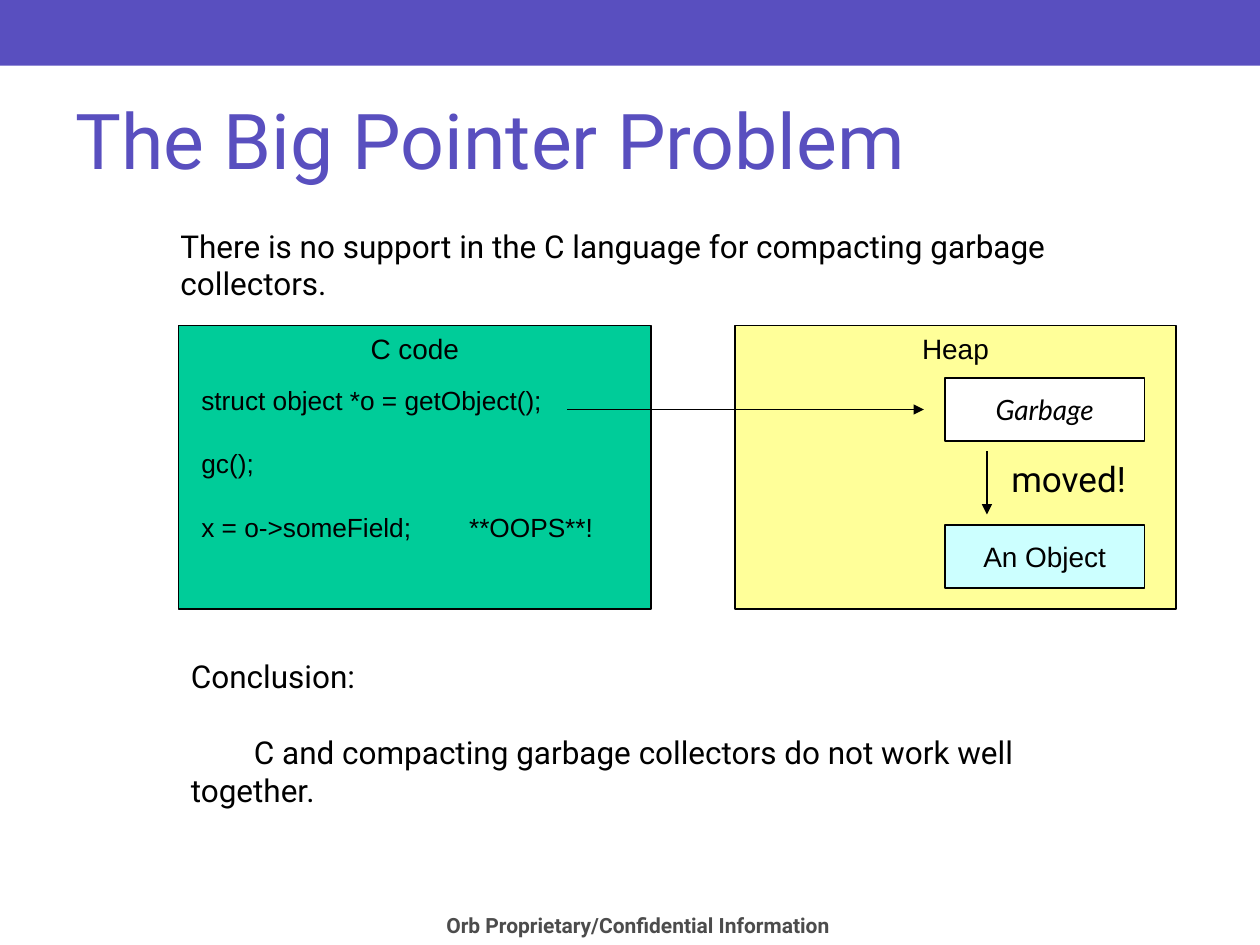
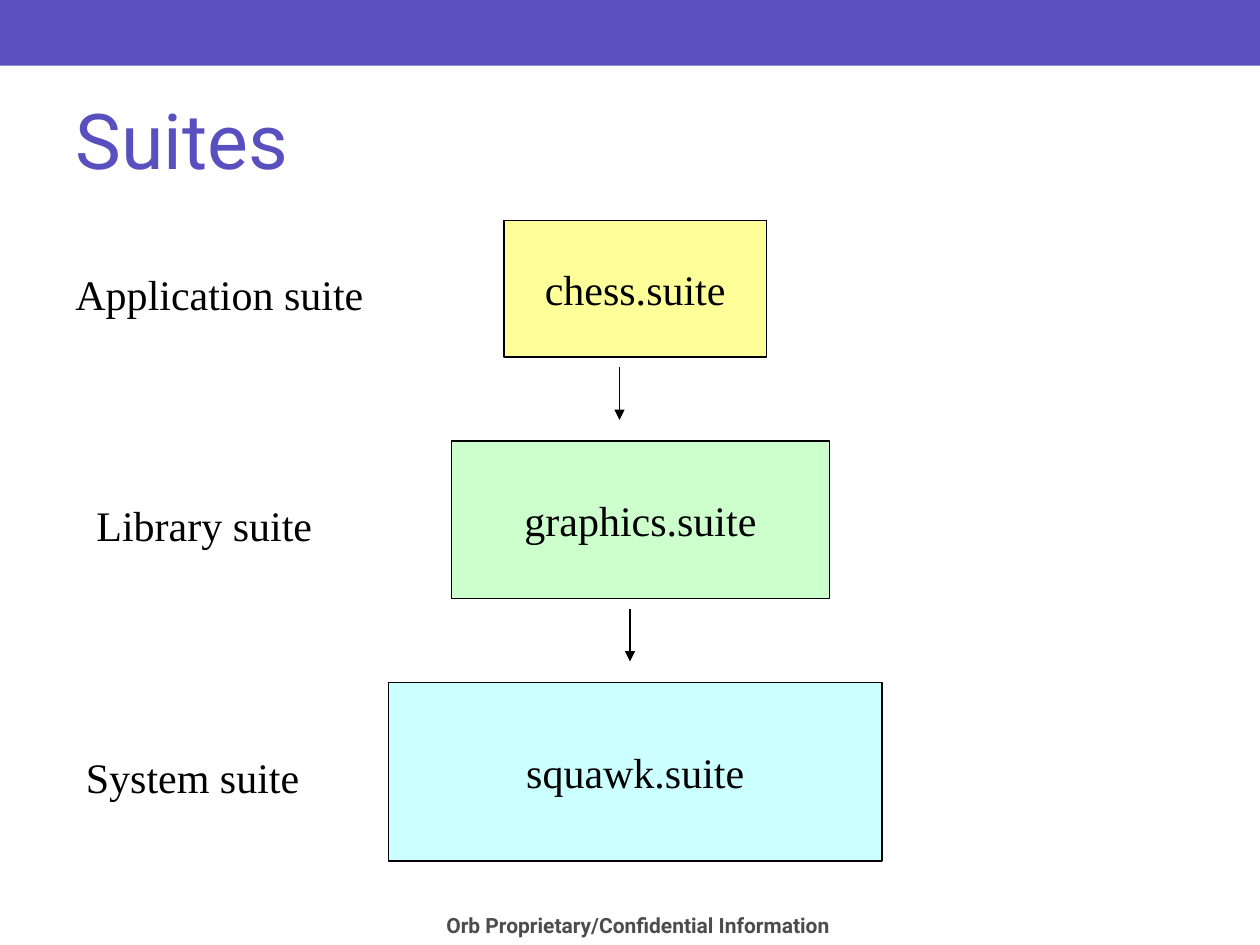
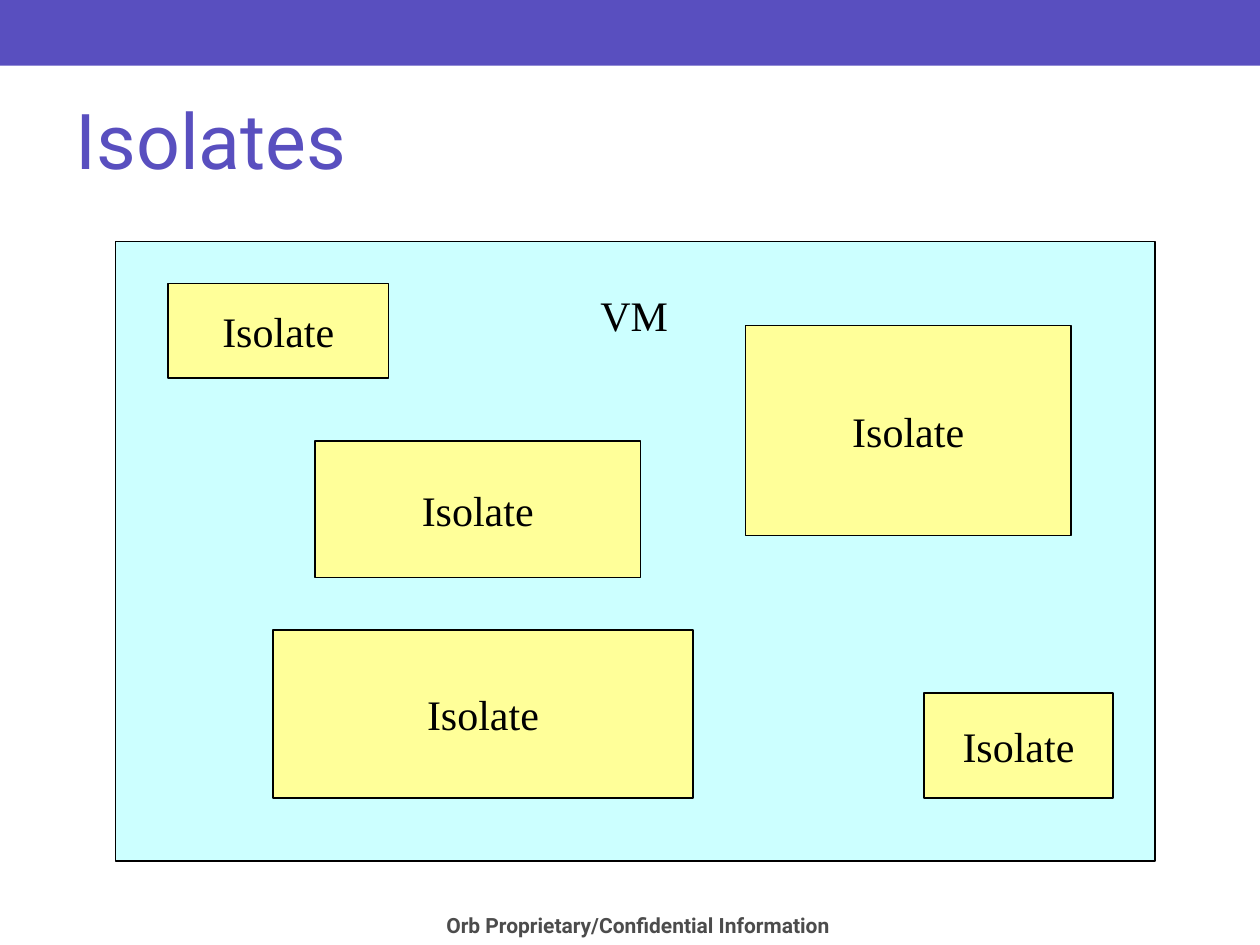
from pptx import Presentation
from pptx.dml.color import RGBColor
from pptx.enum import shapes as kinds, text as t
from pptx.oxml.ns import qn
from pptx.util import Pt
from lxml import etree

# Shared look
VIOLET = RGBColor(0x59, 0x4F, 0xBF)
GREY = RGBColor(0x4C, 0x4C, 0x4C)
BLACK = RGBColor(0, 0, 0)
WHITE = RGBColor(255, 255, 255)
GREEN = RGBColor(0x00, 0xCC, 0x99)
MINT = RGBColor(0xCC, 0xFF, 0xCC)
YELLOW = RGBColor(0xFF, 0xFF, 0x99)
CYAN = RGBColor(0xCC, 0xFF, 0xFF)
SANS, ARIAL, LATO, SERIF = "Roboto", "Arial", "Lato", "Times New Roman"
FOOTER = "Orb Proprietary/Confidential Information"

# Content: places are (left, top, width, height) in points
BAND_PLACE = (0, 0, 720, 37.5)
FOOTER_PLACE = (237.6, 522.7, 254, 13.7)
TITLE_PLACE = (43.2, 63.6, 615, 41)

POINTER_TITLE = "The Big Pointer Problem"
CLAIM = "There is no support in the C language for compacting garbage collectors."
CODE = ["struct object *o = getObject();", "gc();", "x = o->someField;\t**OOPS**!"]
OOPS_TAB = 153
CONCLUSION = ["Conclusion:",
              "C and compacting garbage collectors do not work well together."]
REGIONS = [("C code", (102, 186, 270, 162), GREEN),
           ("Heap", (420, 186, 252, 162), YELLOW)]
HEAP_CELLS = [("Garbage", 216, WHITE, LATO, True),
              ("An Object", 300, CYAN, ARIAL, False)]
POINTER_ARROWS = [((564, 258), (564, 294)), ((324, 234), (528, 234))]

SUITES_TITLE = "Suites"
SUITES = [  # file, place, fill, label, label place
    ("chess.suite", (288, 126, 150, 78), YELLOW,
     "Application suite", (36, 150, 182, 36)),
    ("graphics.suite", (258, 252, 216, 90), MINT,
     "Library suite", (48, 282, 140, 36)),
    ("squawk.suite", (222, 390, 282, 102), CYAN,
     "System suite", (42, 426, 140, 36)),
]
SUITE_ARROW_X = [354, 360]
ARROW_START_GAP, ARROW_END_GAP = 6, 12

ISOLATES_TITLE = "Isolates"
VM = (66, 138, 594, 354)
ISOLATES = [(96, 162, 126, 54), (180, 252, 186, 78), (156, 360, 240, 96),
            (426, 186, 186, 120), (528, 396, 108, 60)]


def write(frame, lines, font, size, color=BLACK, align=None, gap=0,
          bold=False, italic=False):
    """Fill a text frame, with a gap above each paragraph but the first."""
    for i, line in enumerate(lines):
        paragraph = frame.paragraphs[0] if i == 0 else frame.add_paragraph()
        paragraph.text = line
        paragraph.alignment = align
        if i and gap:
            paragraph.space_before = Pt(gap)
        style = paragraph.font
        style.name, style.size, style.color.rgb = font, Pt(size), color
        style.bold, style.italic = bold, italic


def add_text(slide, place, lines, font, size, wrap=True, gap=0):
    frame = slide.shapes.add_textbox(*map(Pt, place)).text_frame
    frame.word_wrap = wrap
    write(frame, lines, font, size, gap=gap)
    return frame


def add_panel(slide, kind, place, fill=None, line=None):
    panel = slide.shapes.add_shape(kind, *map(Pt, place))
    panel.shadow.inherit = False
    if fill is None:
        panel.fill.background()
    else:
        panel.fill.solid()
        panel.fill.fore_color.rgb = fill
    if line is None:
        panel.line.fill.background()
    else:
        panel.line.color.rgb = line
        panel.line.width = Pt(0.75)
    return panel


def add_box(slide, place, fill, label=None, font=SERIF, size=24,
            anchor=t.MSO_ANCHOR.MIDDLE, italic=False):
    box = add_panel(slide, kinds.MSO_SHAPE.RECTANGLE, place, fill, BLACK)
    if label:
        box.text_frame.word_wrap = False
        box.text_frame.vertical_anchor = anchor
        write(box.text_frame, [label], font, size,
              align=t.PP_ALIGN.CENTER, italic=italic)


def add_arrow(slide, start, end):
    arrow = slide.shapes.add_connector(
        kinds.MSO_CONNECTOR.STRAIGHT, *map(Pt, start + end))
    arrow.line.color.rgb = BLACK
    arrow.line.width = Pt(0.75)
    properties = arrow.line._get_or_add_ln()
    etree.SubElement(properties, qn("a:tailEnd"), type="triangle")
    etree.SubElement(properties.getparent(), qn("a:effectLst"))


def set_tight(frame, line_spacing):
    """Remove the margins, start at the top and close up the lines."""
    frame.margin_left = frame.margin_right = 0
    frame.margin_top = frame.margin_bottom = 0
    frame.vertical_anchor = t.MSO_ANCHOR.TOP
    frame.paragraphs[0].line_spacing = line_spacing


def new_slide(deck, heading):
    """Add a slide with the top band, the footer and the title."""
    slide = deck.slides.add_slide(deck.slide_layouts[5])
    rounded = kinds.MSO_SHAPE.ROUNDED_RECTANGLE
    band = add_panel(slide, rounded, BAND_PLACE, VIOLET)
    band.adjustments[0] = 0

    footer = add_panel(slide, rounded, FOOTER_PLACE)
    footer.adjustments[0] = 0.01
    footer.text_frame.word_wrap = False
    write(footer.text_frame, [FOOTER], SANS, 12, color=GREY,
          align=t.PP_ALIGN.CENTER, bold=True)
    set_tight(footer.text_frame, 0.93)

    title = slide.shapes.title
    title.left, title.top, title.width, title.height = map(Pt, TITLE_PLACE)
    title.text_frame.auto_size = t.MSO_AUTO_SIZE.NONE
    write(title.text_frame, [heading], SANS, 44, color=VIOLET,
          align=t.PP_ALIGN.LEFT)
    set_tight(title.text_frame, 0.79)
    return slide


def build_pointer_problem(deck):
    slide = new_slide(deck, POINTER_TITLE)
    add_text(slide, (96, 126, 564, 50.4), [CLAIM], SANS, 18)
    for name, place, fill in REGIONS:
        add_box(slide, place, fill, name, ARIAL, 16, t.MSO_ANCHOR.TOP)

    # Code, with the warning at a tab stop
    code = add_text(slide, (108, 216, 258, 97), CODE, ARIAL, 15, gap=18.25)
    properties = code.paragraphs[-1]._p.get_or_add_pPr()
    tabs = etree.Element(qn("a:tabLst"))
    etree.SubElement(tabs, qn("a:tab"), pos=str(Pt(OOPS_TAB)), algn="l")
    properties.insert_element_before(tabs, "a:defRPr", "a:extLst")

    # Heap
    for name, top, fill, font, italic in HEAP_CELLS:
        add_box(slide, (540, top, 114, 36), fill, name, font, 16, italic=italic)
    add_text(slide, (570.8, 258, 86, 31.7), ["moved!"], SANS, 20, wrap=False)
    for start, end in POINTER_ARROWS:
        add_arrow(slide, start, end)

    # Conclusion, with an indented first line
    conclusion = add_text(slide, (102, 372, 558, 115), CONCLUSION, SANS, 18, gap=22)
    conclusion.paragraphs[-1]._p.get_or_add_pPr().set("indent", str(Pt(36)))


def build_suites(deck):
    slide = new_slide(deck, SUITES_TITLE)
    for name, place, fill, label, label_place in SUITES:
        add_box(slide, place, fill, name)
        add_text(slide, label_place, [label], SERIF, 24)
    for x, upper, lower in zip(SUITE_ARROW_X, SUITES, SUITES[1:]):
        _, top, _, height = upper[1]
        add_arrow(slide, (x, top + height + ARROW_START_GAP),
                  (x, lower[1][1] - ARROW_END_GAP))


def build_isolates(deck):
    slide = new_slide(deck, ISOLATES_TITLE)
    add_box(slide, VM, CYAN)
    for place in ISOLATES:
        add_box(slide, place, YELLOW, "Isolate")
    add_text(slide, (336, 162, 56, 36), ["VM"], SERIF, 24)


def main():
    deck = Presentation()
    deck.slide_width, deck.slide_height = Pt(720), Pt(540)
    build_pointer_problem(deck)
    build_suites(deck)
    build_isolates(deck)
    deck.save("out.pptx")


if __name__ == "__main__":
    main()
